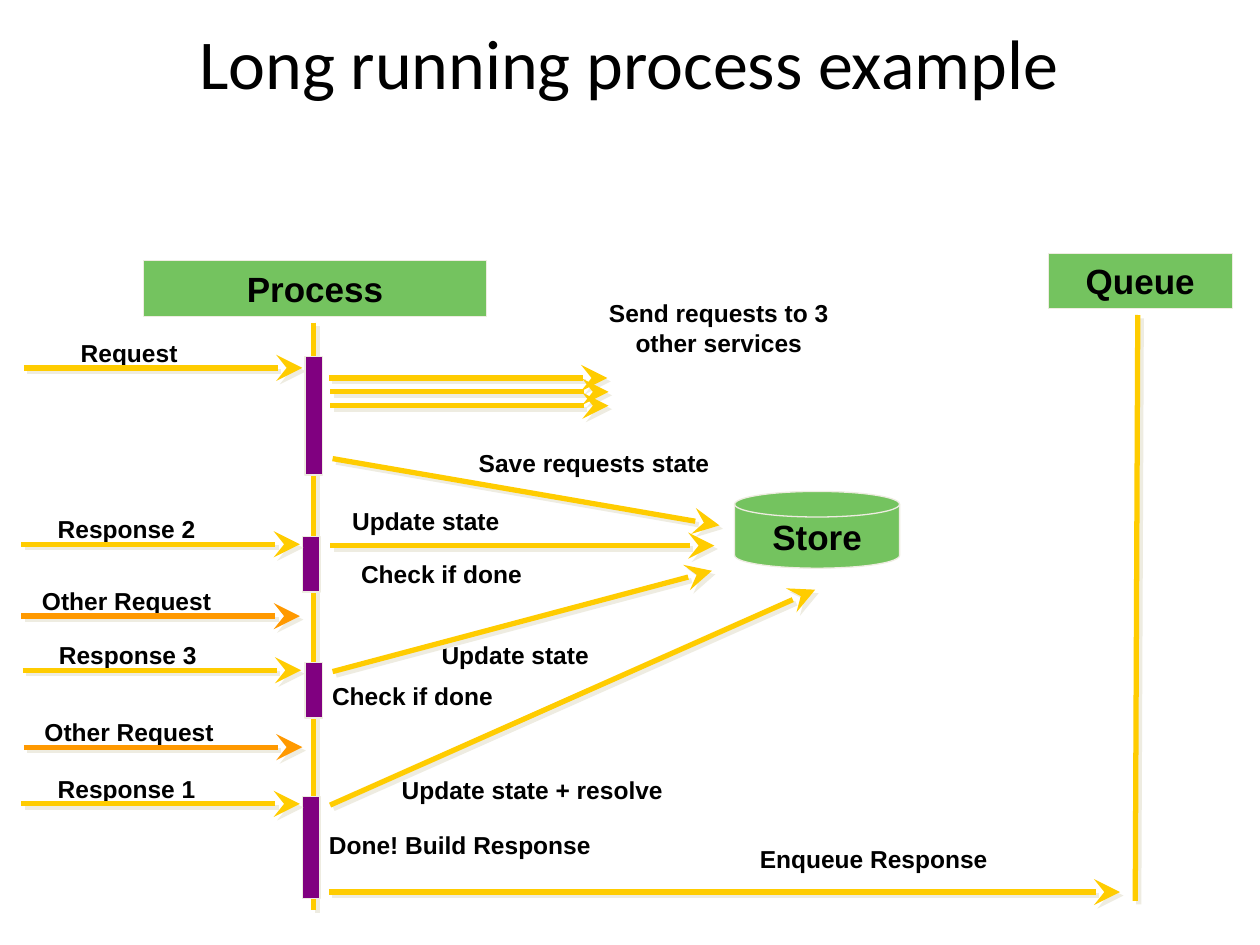
from dataclasses import dataclass

from lxml import etree
from pptx import Presentation
from pptx import util as u
from pptx.dml.color import RGBColor
from pptx.enum import shapes, text
from pptx.oxml import ns

COLUMNS, ROWS = 100, 75
CELL = u.Inches(0.1)


@dataclass(frozen=True)
class Theme:
    ink: str = "000000"
    participant: str = "74C35F"
    activation: str = "800080"
    edge: str = "EEECE1"
    message: str = "FFCC00"
    other_message: str = "FF9900"
    title_font: str = "Calibri"
    label_font: str = "Arial"
    title_size: int = 40
    participant_size: int = 20
    label_size: int = 14
    message_width: float = 3
    edge_width: float = 0.75


THEME = Theme()

INBOUND = [
    ("Request", 1.9, 29.2, THEME.message),
    ("Response 2", 1.7, 43.2, THEME.message),
    ("Other Request", 1.7, 48.9, THEME.other_message),
    ("Response 3", 1.8, 53.2, THEME.message),
    ("Other Request", 1.9, 59.3, THEME.other_message),
    ("Response 1", 1.7, 63.8, THEME.message),
]
INBOUND_LENGTH = 22.1
LABEL_RISE = 2.9
LABEL_WIDTH = 16.7
LABEL_HEIGHT = 3.3

NOTES = [
    ("Send requests to 3 other services", 45.3, 23.2, 23.5, 5.7),
    ("Save requests state", 35.4, 35.1, 23.5, LABEL_HEIGHT),
    ("Update state", 26.5, 39.7, 14.6, LABEL_HEIGHT),
    ("Check if done", 26.7, 43.9, 16.7, LABEL_HEIGHT),
    ("Update state", 33.6, 50.3, 14.6, LABEL_HEIGHT),
    ("Check if done", 25.1, 53.6, 15.3, LABEL_HEIGHT),
    ("Update state + resolve", 29.7, 61, 25.1, LABEL_HEIGHT),
    ("Done! Build Response", 24.4, 65.4, 24.2, LABEL_HEIGHT),
    ("Enqueue Response", 57.2, 66.5, 24.3, LABEL_HEIGHT),
]

ACTIVATIONS = [(24.2, 28.3, 9.4), (24, 42.6, 4.4), (24.2, 52.6, 4.4), (24, 63.2, 8.1)]
ACTIVATION_WIDTH = 1.4

SERVICE_REQUESTS = [(26.1 + min(i, 1) * 0.1, 30 + i * 1.1) for i in range(3)]

OUTBOUND = [
    ((26.4, 36.4), (57.1, 41.7)),
    ((26.2, 43.3), (56.7, 43.3)),
    ((26.4, 53.3), (56.5, 45.3)),
    ((26.2, 63.9), (64.7, 46.8)),
    ((26.1, 70.8), (88.9, 70.8)),
]


def cells(*lengths):
    return [round(length * CELL) for length in lengths]


def write(frame, words, *, size, font=THEME.label_font, bold=True, color=THEME.ink,
          margin=None):
    frame.word_wrap = True
    frame.auto_size = text.MSO_AUTO_SIZE.NONE
    if margin is not None:
        frame.margin_left = frame.margin_right = margin
        frame.margin_top = frame.margin_bottom = margin
    frame.text = words
    paragraph = frame.paragraphs[0]
    paragraph.alignment = text.PP_ALIGN.CENTER
    paragraph.font.name = font
    paragraph.font.size = u.Pt(size)
    paragraph.font.bold = bold
    paragraph.font.color.rgb = RGBColor.from_string(color)


def add_title(slide, words):
    title = slide.shapes.title
    title.left, title.top, title.width, title.height = cells(1.4, 1.4, 97, 7)
    title.text_frame.vertical_anchor = text.MSO_ANCHOR.MIDDLE
    write(title.text_frame, words, size=THEME.title_size, font=THEME.title_font, bold=False)


def add_label(slide, words, *place):
    label = slide.shapes.add_textbox(*cells(*place))
    write(label.text_frame, words, size=THEME.label_size)


def add_block(slide, *place, fill, kind=shapes.MSO_SHAPE.RECTANGLE):
    block = slide.shapes.add_shape(kind, *cells(*place))
    block.shadow.inherit = False
    block.fill.solid()
    block.fill.fore_color.rgb = RGBColor.from_string(fill)
    block.line.color.rgb = RGBColor.from_string(THEME.edge)
    block.line.width = u.Pt(THEME.edge_width)
    return block


def add_participant(slide, words, *place, kind=shapes.MSO_SHAPE.RECTANGLE):
    participant = add_block(slide, *place, fill=THEME.participant, kind=kind)
    participant.text_frame.vertical_anchor = text.MSO_ANCHOR.MIDDLE
    write(participant.text_frame, words, size=THEME.participant_size, margin=0)


def add_line(slide, start, end, color=THEME.message, arrow=True):
    line = slide.shapes.add_connector(shapes.MSO_CONNECTOR.STRAIGHT, *cells(*start, *end))
    line.line.color.rgb = RGBColor.from_string(color)
    line.line.width = u.Pt(THEME.message_width)
    properties = line.element.spPr
    if arrow:
        outline = properties.find(ns.qn("a:ln"))
        etree.SubElement(outline, ns.qn("a:tailEnd"), type="stealth", w="lg", len="lg")
    effects = etree.SubElement(properties, ns.qn("a:effectLst"))
    shadow = etree.SubElement(effects, ns.qn("a:outerShdw"), dist=str(u.Pt(2.8)),
                              dir="2700000", algn="ctr", rotWithShape="0")
    etree.SubElement(shadow, ns.qn("a:srgbClr"), val=THEME.edge)


def add_labels(slide):
    for words, left, row, _ in INBOUND:
        add_label(slide, words, left, row - LABEL_RISE, LABEL_WIDTH, LABEL_HEIGHT)
    for note in NOTES:
        add_label(slide, *note)


def add_participants(slide):
    add_line(slide, (24.9, 25.6), (24.9, 72.2), arrow=False)
    add_participant(slide, "Process", 11.4, 20.7, 27.2, 4.4)
    add_participant(slide, "Store", 58.3, 39, 13.1, 6.1,
                    kind=shapes.MSO_SHAPE.FLOWCHART_MAGNETIC_DISK)
    add_line(slide, (90.3, 25), (90.1, 71.5), arrow=False)
    add_participant(slide, "Queue", 83.2, 20.1, 14.6, 4.4)
    for left, top, height in ACTIVATIONS:
        add_block(slide, left, top, ACTIVATION_WIDTH, height, fill=THEME.activation)


def add_messages(slide):
    for _, left, row, color in INBOUND:
        add_line(slide, (left, row), (left + INBOUND_LENGTH, row), color)
    for left, row in SERVICE_REQUESTS:
        add_line(slide, (left, row), (left + INBOUND_LENGTH, row))
    for start, end in OUTBOUND:
        add_line(slide, start, end)


def main():
    deck = Presentation()
    deck.slide_width, deck.slide_height = cells(COLUMNS, ROWS)
    slide = deck.slides.add_slide(deck.slide_layouts[5])
    add_title(slide, "Long running process example")
    add_labels(slide)
    add_participants(slide)
    add_messages(slide)
    deck.save("out.pptx")


if __name__ == "__main__":
    main()
